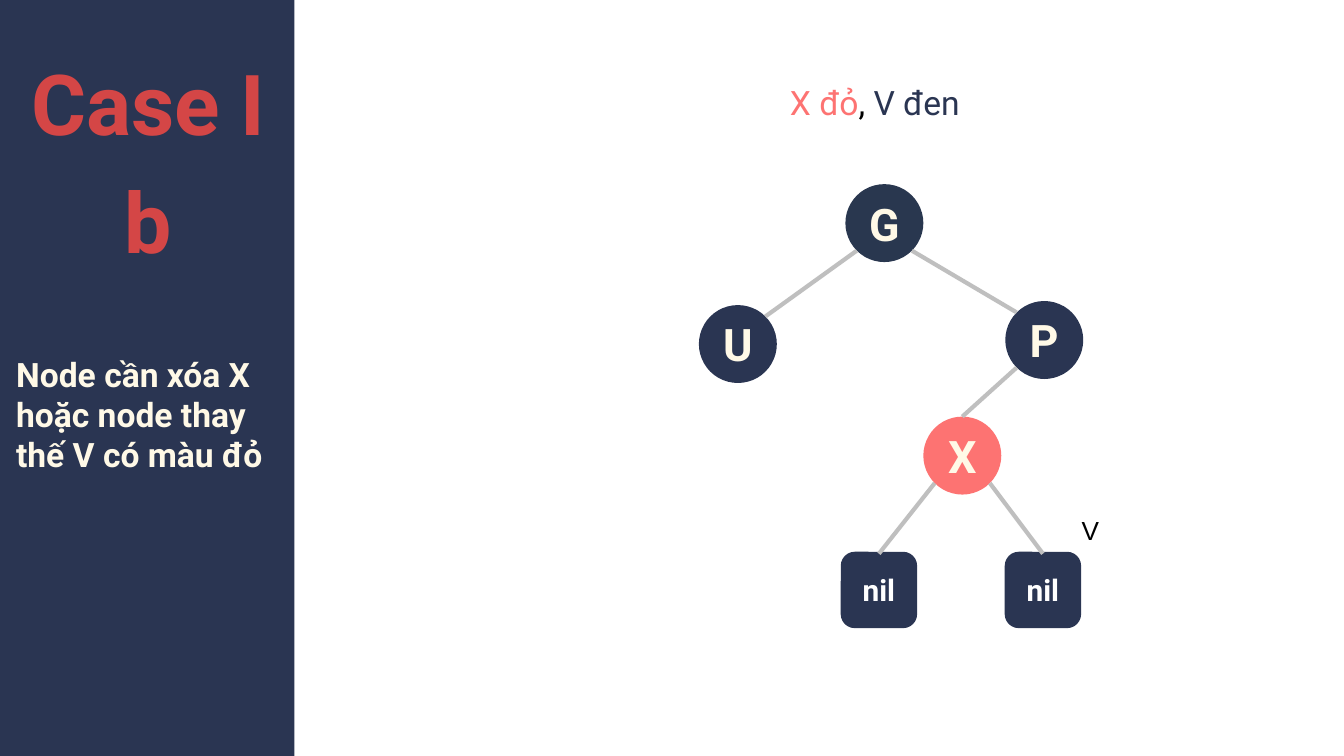
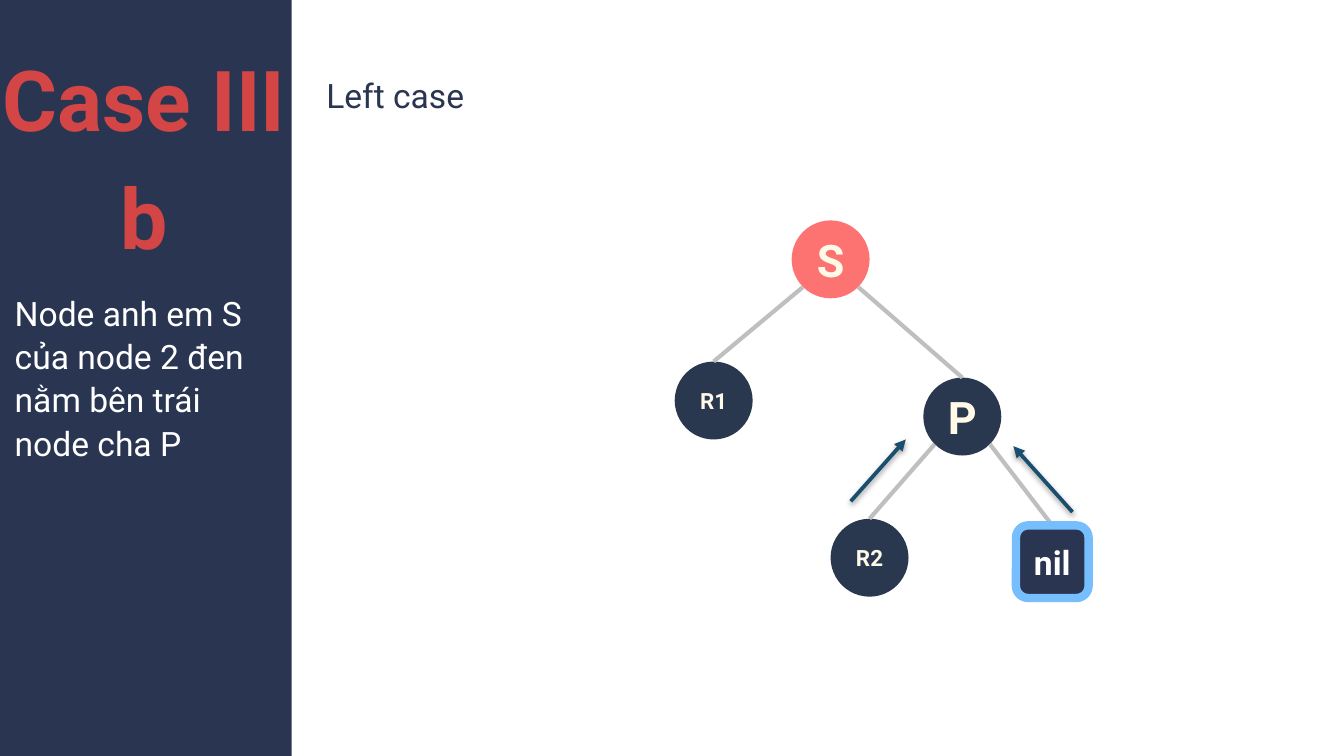
from math import cos, radians, sin

from lxml.etree import SubElement
from pptx import Presentation
from pptx.dml.color import RGBColor
from pptx.enum.shapes import MSO_CONNECTOR as Connector, MSO_SHAPE as Shape
from pptx.enum.text import MSO_ANCHOR as Anchor, MSO_AUTO_SIZE as AutoSize, PP_ALIGN as Align
from pptx.oxml.ns import qn
from pptx.util import Inches, Pt

NAVY = RGBColor(0x2A, 0x35, 0x52)
SLATE = RGBColor(0x29, 0x37, 0x4F)
CORAL = RGBColor(0xFD, 0x73, 0x72)
RED = RGBColor(0xD4, 0x46, 0x46)
CREAM = RGBColor(0xFF, 0xF9, 0xE7)
GRAY = RGBColor(0xBF, 0xBF, 0xBF)
TEAL = RGBColor(0x1A, 0x4E, 0x6E)
SKY = RGBColor(0x76, 0xBE, 0xFE)
WHITE = RGBColor(0xFF, 0xFF, 0xFF)
BLACK = RGBColor(0x00, 0x00, 0x00)

NODE_SIZE = 0.58
NIL_SIZE = 0.54
TOP, TOP_LEFT, BOTTOM_LEFT, BOTTOM_RIGHT, TOP_RIGHT = 90, 135, 225, 315, 45


class TreeDeck:
    def __init__(self):
        self.presentation = Presentation()
        self.presentation.slide_width = Inches(10)
        self.presentation.slide_height = Inches(10) * 9 // 16
        self.slide = None

    def new_slide(self, panel_left, panel_top):
        self.slide = self.presentation.slides.add_slide(self.presentation.slide_layouts[6])
        self.shape(Shape.RECTANGLE, panel_left, panel_top, 2.2, 5.67, NAVY)

    def style(self, font, size, color, bold=False, name="Roboto"):
        font.name = name
        font.size = Pt(size)
        font.bold = bold
        font.color.rgb = color

    def shape(self, kind, left, top, width, height, fill):
        shape = self.slide.shapes.add_shape(
            kind, Inches(left), Inches(top), Inches(width), Inches(height))
        shape.shadow.inherit = False
        shape.fill.solid()
        shape.fill.fore_color.rgb = fill
        shape.line.fill.background()
        return shape

    def label(self, shape, text, size, color):
        frame = shape.text_frame
        frame.word_wrap = False
        frame.vertical_anchor = Anchor.MIDDLE
        paragraph = frame.paragraphs[0]
        paragraph.text = text
        paragraph.alignment = Align.CENTER
        self.style(paragraph.font, size, color, bold=True)

    def node(self, text, left, top, fill=SLATE, size=24):
        shape = self.shape(Shape.OVAL, left, top, NODE_SIZE, NODE_SIZE, fill)
        self.label(shape, text, size, CREAM)
        return shape

    def nil(self, left, top, size=16, border=NAVY, border_width=2):
        shape = self.shape(Shape.ROUNDED_RECTANGLE, left, top, NIL_SIZE, NIL_SIZE, NAVY)
        shape.line.color.rgb = border
        shape.line.width = Pt(border_width)
        self.label(shape, "nil", size, WHITE)
        return shape

    def text_box(self, left, top, width, height, inset=True):
        box = self.slide.shapes.add_textbox(
            Inches(left), Inches(top), Inches(width), Inches(height))
        frame = box.text_frame
        frame.word_wrap = True
        frame.auto_size = AutoSize.SHAPE_TO_FIT_TEXT
        if not inset:
            frame.margin_left = frame.margin_right = frame.margin_top = frame.margin_bottom = 0
        return frame

    def text(self, frame, text, size, color, bold=False, name="Roboto", spacing=None):
        paragraph = frame.paragraphs[0]
        paragraph.text = text
        paragraph.line_spacing = spacing
        self.style(paragraph.font, size, color, bold, name)

    def title(self, left, top, width, case, variant):
        frame = self.text_box(left, top, width, 1.7, inset=False)
        frame.text = f"{case}\n{variant}"
        for paragraph in frame.paragraphs:
            paragraph.alignment = Align.CENTER
            paragraph.line_spacing = Pt(63)
            self.style(paragraph.font, 45, RED, bold=True)

    def colored_text(self, frame, size, parts):
        for text, color in parts:
            run = frame.paragraphs[0].add_run()
            run.text = text
            self.style(run.font, size, color)

    def line(self, start, end, color, width):
        connector = self.slide.shapes.add_connector(Connector.STRAIGHT, *start, *end)
        connector.line.color.rgb = color
        connector.line.width = Pt(width)
        effects = SubElement(connector._element.spPr, qn("a:effectLst"))
        return connector, effects

    def rim(self, shape, angle):
        radius = shape.width / 2
        return (int(shape.left + radius * (1 + cos(radians(angle)))),
                int(shape.top + radius * (1 - sin(radians(angle)))))

    def edge(self, parent, parent_angle, child, child_angle=TOP, behind=False):
        connector, _ = self.line(
            self.rim(parent, parent_angle), self.rim(child, child_angle), GRAY, 2.25)
        if child_angle == TOP:
            connector.end_connect(child, 0)
        if behind:
            child._element.addprevious(connector._element)

    def arrow(self, start, end):
        connector, effects = self.line(map(Inches, start), map(Inches, end), TEAL, 2)
        SubElement(connector.line._get_or_add_ln(), qn("a:tailEnd"), type="triangle")
        shadow = SubElement(effects, qn("a:outerShdw"), blurRad=str(Pt(3.1)),
                            dist=str(Pt(1.6)), dir="5400000", rotWithShape="0")
        color = SubElement(shadow, qn("a:srgbClr"), val=str(BLACK))
        SubElement(color, qn("a:alpha"), val="38000")


def build_case_one(deck):
    deck.new_slide(-0.01, -0.01)
    deck.text(deck.text_box(0.12, 2.63, 1.97, 0.91, inset=False),
              "Node cần xóa X hoặc node thay thế V có màu đỏ", 18, CREAM, bold=True)
    deck.title(0.2, 0.26, 1.81, "Case I", "b")
    deck.colored_text(deck.text_box(5.78, 0.56, 1.6, 0.4), 18,
                      [("X đỏ", CORAL), (", ", BLACK), ("V đen", NAVY)])

    grandparent = deck.node("G", 6.29, 1.37)
    uncle = deck.node("U", 5.2, 2.27, NAVY)
    parent = deck.node("P", 7.48, 2.24, NAVY)
    removed = deck.node("X", 6.87, 3.1, CORAL)
    left_nil, right_nil = [deck.nil(left, 4.12) for left in (6.27, 7.49)]

    deck.edge(grandparent, BOTTOM_LEFT, uncle, TOP_RIGHT)
    deck.edge(grandparent, BOTTOM_RIGHT, parent, TOP_LEFT)
    deck.edge(parent, BOTTOM_LEFT, removed)
    deck.edge(removed, BOTTOM_LEFT, left_nil)
    deck.edge(removed, BOTTOM_RIGHT, right_nil)
    deck.text(deck.text_box(7.95, 3.78, 0.34, 0.34), "V", 14, BLACK, name="Arial")


def build_case_three(deck):
    deck.new_slide(-0.03, 0)
    deck.text(deck.text_box(0.11, 2.16, 1.97, 1.28, inset=False),
              "Node anh em S của node 2 đen nằm bên trái node cha P", 18, WHITE, spacing=1.07)
    deck.title(-0.03, 0.23, 2.2, "Case III", "b")
    deck.text(deck.text_box(2.33, 0.51, 1.95, 0.4), "Left case", 18, NAVY)

    parent = deck.node("P", 6.87, 2.81)
    sibling = deck.node("S", 5.89, 1.64, CORAL)
    double_black = deck.nil(7.56, 3.91, size=18, border=SKY, border_width=4.5)
    right_child = deck.node("R2", 6.18, 3.86, size=12)
    left_child = deck.node("R1", 5.02, 2.69, size=12)

    deck.edge(sibling, BOTTOM_LEFT, left_child)
    deck.edge(sibling, BOTTOM_RIGHT, parent)
    deck.edge(parent, BOTTOM_LEFT, right_child)
    deck.edge(parent, BOTTOM_RIGHT, double_black, behind=True)
    deck.arrow((6.33, 3.73), (6.74, 3.27))
    deck.arrow((7.98, 3.81), (7.54, 3.32))


def main():
    deck = TreeDeck()
    build_case_one(deck)
    build_case_three(deck)
    deck.presentation.save("out.pptx")


if __name__ == "__main__":
    main()
